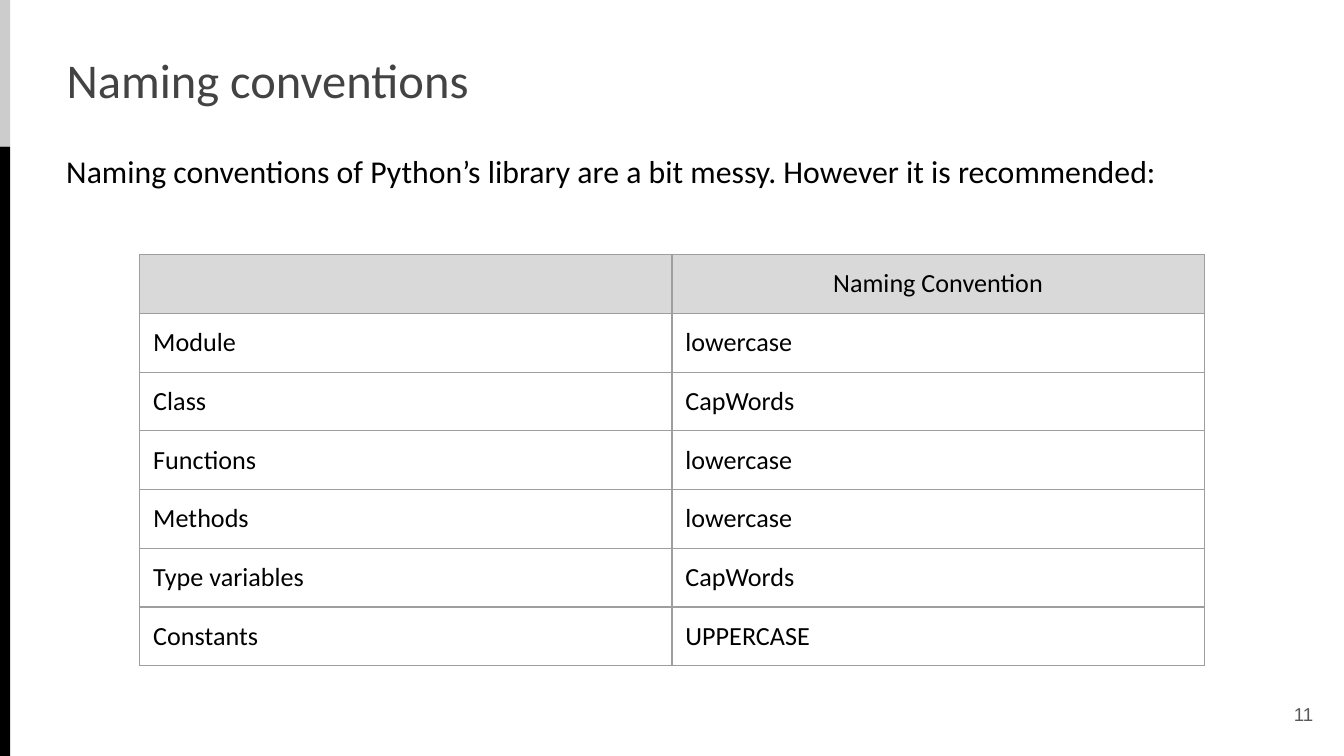
from dataclasses import dataclass

from lxml.etree import SubElement
from pptx import Presentation
from pptx.dml.color import RGBColor
from pptx.enum.shapes import MSO_SHAPE
from pptx.enum.text import MSO_ANCHOR, MSO_AUTO_SIZE, PP_ALIGN
from pptx.oxml import parse_xml
from pptx.oxml.ns import nsdecls, qn
from pptx.slide import Slide
from pptx.table import _Cell as Cell
from pptx.text.text import TextFrame
from pptx.util import Emu, Pt

SCALE = 4572  # EMU per px, 200 px to the inch
PAD = 20
BORDER = "9E9E9E"
HEAD = "D9D9D9"


@dataclass(frozen=True)
class Box:
    left: int
    top: int
    width: int
    height: int

    def emu(self) -> tuple[Emu, ...]:
        return tuple(px(n) for n in (self.left, self.top, self.width, self.height))


@dataclass(frozen=True)
class Style:
    size: int
    color: str = "000000"
    font: str = "Calibri"
    align: PP_ALIGN = PP_ALIGN.LEFT
    anchor: MSO_ANCHOR = MSO_ANCHOR.TOP
    spacing: float | None = None


@dataclass(frozen=True)
class Bar:
    box: Box
    color: str


BARS = [
    Bar(Box(0, 0, 15, 218), "CCCCCC"),
    Bar(Box(0, 218, 15, 907), "000000"),
]
TITLE = Style(26, "434343", anchor=MSO_ANCHOR.MIDDLE, spacing=1.0)
INTRO = Style(17, align=PP_ALIGN.JUSTIFY, spacing=1.15)
NUMBER = Style(10, "595959", "Arial", PP_ALIGN.RIGHT, MSO_ANCHOR.MIDDLE)
BODY = Style(14)
HEADER = Style(14, align=PP_ALIGN.CENTER)

GRID = Box(208, 379, 1584, 606)
ROW = 84  # least row height; the text stretches it
ROWS = [
    ("", "Naming Convention"),
    ("Module", "lowercase"),
    ("Class", "CapWords"),
    ("Functions", "lowercase"),
    ("Methods", "lowercase"),
    ("Type variables", "CapWords"),
    ("Constants", "UPPERCASE"),
]


def px(count: int) -> Emu:
    return Emu(count * SCALE)


def rgb(code: str) -> RGBColor:
    return RGBColor.from_string(code)


def write(frame: TextFrame, text: str, style: Style) -> None:
    para = frame.paragraphs[0]
    para.alignment = style.align
    para.line_spacing = style.spacing
    if text:
        run = para.add_run()
        run.text = text
        run.font.name = style.font
        run.font.size = Pt(style.size)
        run.font.color.rgb = rgb(style.color)
    else:
        # Keeps an empty cell from growing to the default text size.
        SubElement(para._p, qn("a:endParaRPr"), sz=str(style.size * 100))


def pad(item: TextFrame | Cell) -> None:
    item.margin_left = item.margin_right = px(PAD)
    item.margin_top = item.margin_bottom = px(PAD)


def fill_frame(frame: TextFrame, text: str, style: Style) -> None:
    frame.word_wrap = True
    frame.auto_size = MSO_AUTO_SIZE.NONE
    frame.vertical_anchor = style.anchor
    pad(frame)
    write(frame, text, style)


def add_text(slide: Slide, box: Box, text: str, style: Style) -> None:
    fill_frame(slide.shapes.add_textbox(*box.emu()).text_frame, text, style)


def add_title(slide: Slide, box: Box, text: str, style: Style) -> None:
    title = slide.shapes.title
    title.left, title.top, title.width, title.height = box.emu()
    fill_frame(title.text_frame, text, style)


def add_bar(slide: Slide, bar: Bar) -> None:
    shape = slide.shapes.add_shape(MSO_SHAPE.RECTANGLE, *bar.box.emu())
    shape.shadow.inherit = False
    shape.fill.solid()
    shape.fill.fore_color.rgb = rgb(bar.color)
    shape.line.fill.background()


def add_border(cell: Cell, color: str) -> None:
    props = cell._tc.get_or_add_tcPr()
    for spot, side in enumerate(("lnL", "lnR", "lnT", "lnB")):
        line = parse_xml(
            f'<a:{side} {nsdecls("a")} w="{Pt(0.75)}"><a:solidFill>'
            f'<a:srgbClr val="{color}"/></a:solidFill></a:{side}>'
        )
        props.insert(spot, line)


def add_grid(slide: Slide, box: Box, rows: list[tuple[str, str]]) -> None:
    frame = slide.shapes.add_table(len(rows), len(rows[0]), *box.emu())
    table = frame.table
    table.first_row = table.horz_banding = False
    for r, row in enumerate(rows):
        table.rows[r].height = px(ROW)
        for c, text in enumerate(row):
            cell = table.cell(r, c)
            pad(cell)
            write(cell.text_frame, text, BODY if r else HEADER)
            if r:
                cell.fill.background()
            else:
                cell.fill.solid()
                cell.fill.fore_color.rgb = rgb(HEAD)
            add_border(cell, BORDER)
    frame.height = px(box.height)


def main() -> None:
    deck = Presentation()
    deck.slide_width, deck.slide_height = px(2000), px(1125)
    slide = deck.slides.add_slide(deck.slide_layouts[5])
    for bar in BARS:
        add_bar(slide, bar)
    add_text(slide, Box(1854, 1020, 120, 86), "11", NUMBER)
    add_title(slide, Box(79, 78, 1430, 78), "Naming conventions", TITLE)
    intro = "Naming conventions of Python’s library are a bit messy. However it is recommended:"
    add_text(slide, Box(79, 197, 1812, 98), intro, INTRO)
    add_grid(slide, GRID, ROWS)
    deck.save("out.pptx")


if __name__ == "__main__":
    main()
